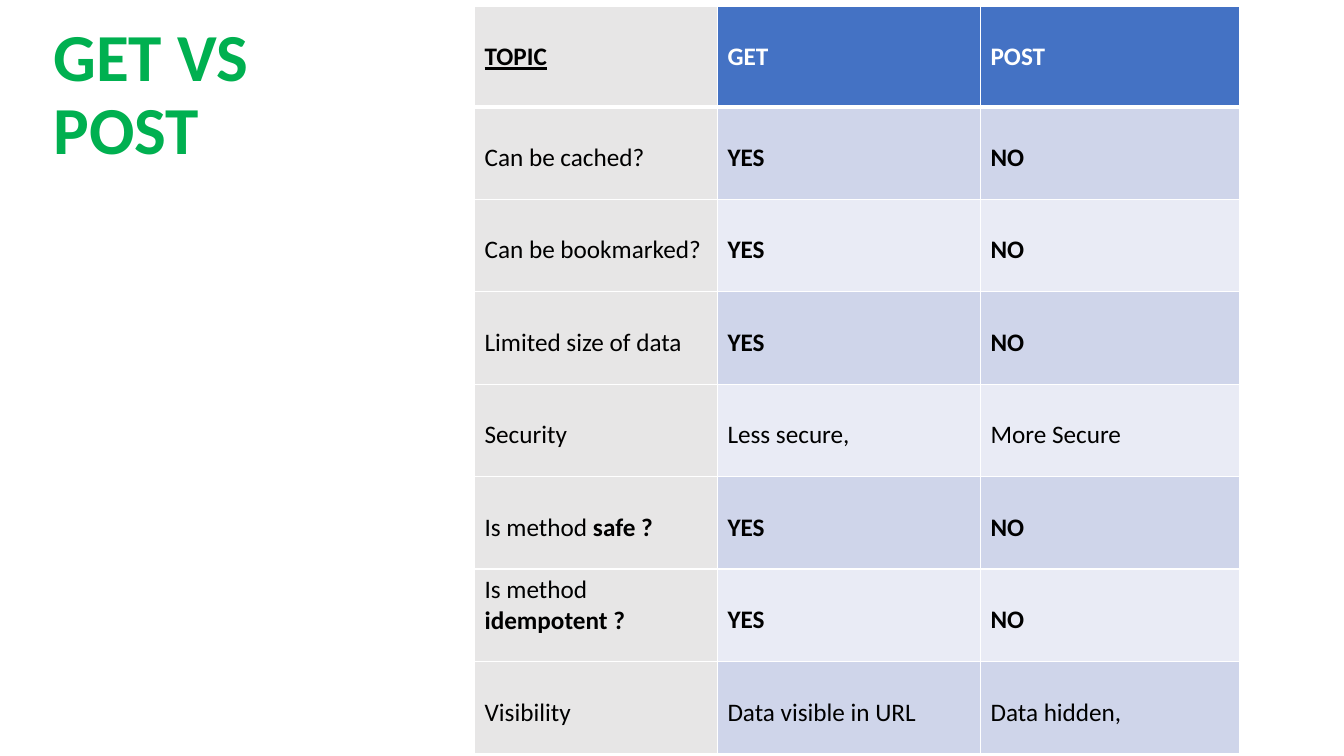
from lxml import etree
from pptx import Presentation
from pptx.dml.color import RGBColor
from pptx.enum import text
from pptx.oxml.ns import qn
from pptx.util import Cm, Pt

TITLE = "GET VS POST"
# Each cell is (regular text, bold text)
ROWS = [
    [("", "TOPIC"), ("", "GET"), ("", "POST")],
    [("Can be cached?", ""), ("", "YES"), ("", "NO")],
    [("Can be bookmarked?", ""), ("", "YES"), ("", "NO")],
    [("Limited size of data", ""), ("", "YES"), ("", "NO")],
    [("Security", ""), ("Less secure,", ""), ("More Secure", "")],
    [("Is method ", "safe ?"), ("", "YES"), ("", "NO")],
    [("Is method ", "idempotent ?"), ("", "YES"), ("", "NO")],
    [("Visibility", ""), ("Data visible in URL", ""), ("Data hidden,", "")],
]
TWO_LINE_TOPIC = (6, 0)
COLUMN_WIDTHS = [Cm(6.12), Cm(6.63), Cm(6.53)]
ROW_HEIGHTS = [Cm(2.54)] + [Cm(2.33)] * (len(ROWS) - 1)
TOP_MARGIN, TWO_LINE_MARGIN = Cm(0.9), Cm(0.13)

FONT = "Calibri"
GREEN = RGBColor(0x00, 0xB0, 0x50)
BLACK = RGBColor(0x00, 0x00, 0x00)
WHITE = RGBColor(0xFF, 0xFF, 0xFF)
GREY = RGBColor(0xE7, 0xE6, 0xE6)
BLUE = RGBColor(0x44, 0x72, 0xC4)
DARK_BAND = RGBColor(0xCF, 0xD5, 0xEA)
LIGHT_BAND = RGBColor(0xE9, 0xEB, 0xF5)


def cell_fill(row, column):
    if column == 0:
        return GREY
    if row == 0:
        return BLUE
    return DARK_BAND if row % 2 else LIGHT_BAND


def add_borders(cell, row):
    """White 1 pt lines, with a 3 pt line between header and body."""
    widths = {"lnL": 1, "lnR": 1,
              "lnT": 3 if row == 1 else 1, "lnB": 3 if row == 0 else 1}
    properties = cell._tc.get_or_add_tcPr()
    for position, (side, width) in enumerate(widths.items()):
        line = etree.Element(qn("a:" + side), w=str(Pt(width)))
        fill = etree.SubElement(line, qn("a:solidFill"))
        etree.SubElement(fill, qn("a:srgbClr"), val=str(WHITE))
        properties.insert(position, line)


def style_run(run, size, color, bold):
    run.font.name = FONT
    run.font.size = Pt(size)
    run.font.bold = bold
    run.font.color.rgb = color


def fill_cell(cell, row, column):
    cell.fill.solid()
    cell.fill.fore_color.rgb = cell_fill(row, column)
    add_borders(cell, row)
    two_lines = (row, column) == TWO_LINE_TOPIC
    cell.margin_top = TWO_LINE_MARGIN if two_lines else TOP_MARGIN
    cell.vertical_anchor = text.MSO_ANCHOR.TOP
    color = WHITE if row == 0 and column else BLACK
    paragraph = cell.text_frame.paragraphs[0]
    for words, bold in zip(ROWS[row][column], (False, True)):
        if words:
            run = paragraph.add_run()
            run.text = words
            style_run(run, 18, color, bold)
            run.font.underline = row == 0 and column == 0


def main():
    presentation = Presentation()
    presentation.slide_width, presentation.slide_height = Cm(33.87), Cm(19.05)
    slide = presentation.slides.add_slide(presentation.slide_layouts[5])

    title = slide.shapes.title
    title.left, title.top, title.width, title.height = (
        Cm(1.09), Cm(0.58), Cm(9.27), Cm(3.68))
    frame = title.text_frame
    frame.text = TITLE
    frame.word_wrap = True
    frame.auto_size = text.MSO_AUTO_SIZE.NONE
    frame.vertical_anchor = text.MSO_ANCHOR.MIDDLE
    paragraph = frame.paragraphs[0]
    paragraph.alignment = text.PP_ALIGN.LEFT
    paragraph.line_spacing = 0.9
    style_run(paragraph.runs[0], 48, GREEN, True)

    table = slide.shapes.add_table(
        len(ROWS), len(COLUMN_WIDTHS), Cm(11.96), Cm(0.15),
        sum(COLUMN_WIDTHS), sum(ROW_HEIGHTS)).table
    for column, width in zip(table.columns, COLUMN_WIDTHS):
        column.width = width
    for row, height in zip(table.rows, ROW_HEIGHTS):
        row.height = height
    for row in range(len(ROWS)):
        for column in range(len(COLUMN_WIDTHS)):
            fill_cell(table.cell(row, column), row, column)

    presentation.save("out.pptx")


if __name__ == "__main__":
    main()
